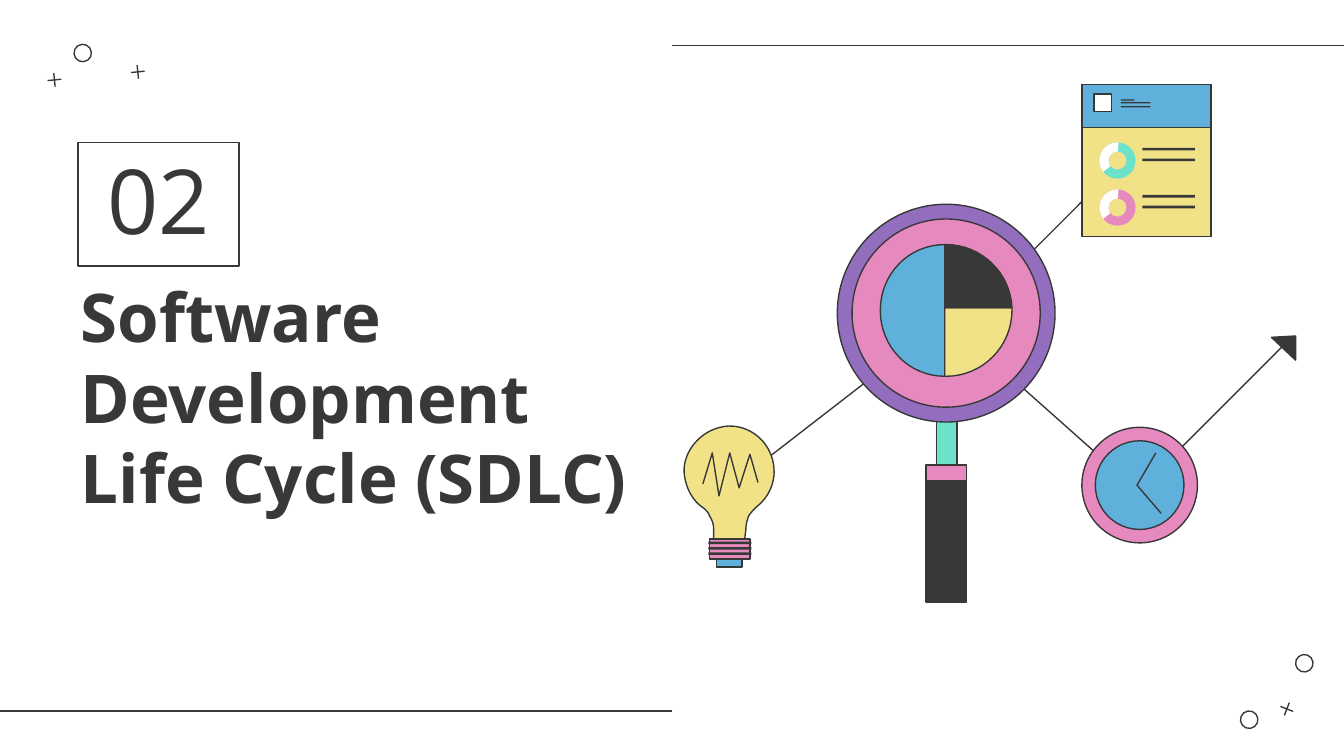
from dataclasses import dataclass
from lxml import etree
from pptx import Presentation
from pptx import util as u
from pptx.dml.color import RGBColor
from pptx.enum import shapes, text
from pptx.oxml.ns import qn


@dataclass(frozen=True)
class Theme:
    ink: str = "383838"
    white: str = "FFFFFF"
    blue: str = "5FB0DA"
    yellow: str = "F1E287"
    pink: str = "E589BF"
    purple: str = "946EBE"
    mint: str = "6CE2CB"
    font: str = "Open Sans"
    title_size: int = 36
    number_size: int = 48
    line_width: float = 0.75


THEME = Theme()
KIND = shapes.MSO_SHAPE


def paint(shape, fill=None, line=THEME.ink):
    shape.shadow.inherit = False
    if fill:
        shape.fill.solid()
        shape.fill.fore_color.rgb = RGBColor.from_string(fill)
    else:
        shape.fill.background()
    if line:
        shape.line.color.rgb = RGBColor.from_string(line)
        shape.line.width = u.Pt(THEME.line_width)
    else:
        shape.line.fill.background()


def add_preset(slide, kind, left, top, width, height, fill=None, line=THEME.ink,
               rotation=0, adjustments=()):
    shape = slide.shapes.add_shape(kind, *map(u.Inches, (left, top, width, height)))
    paint(shape, fill, line)
    shape.rotation = rotation
    for index, value in enumerate(adjustments):
        shape.adjustments[index] = value


def add_circle(slide, x, y, radius, fill):
    add_preset(slide, KIND.OVAL, x - radius, y - radius, 2 * radius, 2 * radius, fill)


def add_bar(slide, left, top, width, height):
    add_preset(slide, KIND.RECTANGLE, left, top, width, height, THEME.ink, None)


def add_line(slide, x1, y1, x2, y2):
    line = slide.shapes.add_connector(
        shapes.MSO_CONNECTOR.STRAIGHT, *map(u.Inches, (x1, y1, x2, y2)))
    line.line.color.rgb = RGBColor.from_string(THEME.ink)
    line.line.width = u.Pt(THEME.line_width)
    properties = line._element.find(qn("p:spPr"))
    etree.SubElement(properties, qn("a:effectLst"))


def bezier(start, curve, steps=16):
    x0, y0 = start
    x1, y1, x2, y2, x3, y3 = curve
    for step in range(1, steps + 1):
        t = step / steps
        weights = ((1 - t) ** 3, 3 * t * (1 - t) ** 2, 3 * t * t * (1 - t), t ** 3)
        yield tuple(sum(w * v for w, v in zip(weights, values))
                    for values in ((x0, x1, x2, x3), (y0, y1, y2, y3)))


def add_outline(slide, segments, fill=None, close=True):
    points = [segments[0]]
    for segment in segments[1:]:
        points.extend([segment] if len(segment) == 2 else bezier(points[-1], segment))
    start, *others = [(u.Inches(x), u.Inches(y)) for x, y in points]
    builder = slide.shapes.build_freeform(*start)
    builder.add_line_segments(others, close=close)
    paint(builder.convert_to_shape(), fill)


def write_text(shape, words, size, bold=False, align=text.PP_ALIGN.LEFT):
    frame = shape.text_frame
    frame.word_wrap = True
    frame.auto_size = text.MSO_AUTO_SIZE.NONE
    frame.vertical_anchor = text.MSO_ANCHOR.BOTTOM
    frame.margin_left = frame.margin_right = u.Inches(0.1)
    frame.margin_top = frame.margin_bottom = u.Inches(0.1)
    frame.text = words
    paragraph = frame.paragraphs[0]
    paragraph.alignment = align
    paragraph.line_spacing = 1.0
    paragraph.space_before = u.Pt(0)
    font = paragraph.runs[0].font
    font.name, font.size, font.bold = THEME.font, u.Pt(size), bold
    font.color.rgb = RGBColor.from_string(THEME.ink)


def place(shape, left, top, width, height):
    shape.left, shape.top = u.Inches(left), u.Inches(top)
    shape.width, shape.height = u.Inches(width), u.Inches(height)


def add_headings(slide):
    title, number = slide.placeholders
    place(title, 0.5, 1.98, 4.31, 1.97)
    write_text(title, "Software Development Life Cycle (SDLC)", THEME.title_size, bold=True)
    place(number, 0.58, 1.06, 1.2, 0.92)
    write_text(number, "02", THEME.number_size, align=text.PP_ALIGN.CENTER)
    number.line.color.rgb = RGBColor.from_string(THEME.ink)
    number.line.width = u.Pt(THEME.line_width)


def add_decorations(slide):
    add_line(slide, 10, 0.34, 5, 0.34)
    add_line(slide, 5, 5.29, 0, 5.29)
    for left, top, rotation in ((0.55, 0.33, 84.5), (9.23, 5.29, 291.4), (9.64, 4.87, 291.4)):
        add_preset(slide, KIND.OVAL, left, top, 0.13, 0.13, rotation=rotation)
    for left, top, rotation in ((0.34, 0.53, 84.5), (0.96, 0.47, 84.5), (9.51, 5.21, 291.4)):
        add_preset(slide, KIND.MATH_PLUS, left, top, 0.13, 0.13, rotation=rotation,
                   adjustments=[0])


def add_links(slide):
    add_line(slide, 7.45, 2.1, 8.22, 1.33)
    add_line(slide, 8.49, 3.63, 9.55, 2.57)
    add_outline(slide, [(5.4, 3.65), (7.04, 2.38), (8.48, 3.66)], close=False)
    add_outline(slide, [(9.64, 2.5), (9.46, 2.51), (9.64, 2.68)], THEME.ink)


def add_magnifier(slide):
    add_preset(slide, KIND.RECTANGLE, 6.97, 3.04, 0.15, 1.29, THEME.mint)
    add_preset(slide, KIND.RECTANGLE, 6.89, 3.58, 0.3, 0.9, THEME.ink)
    add_preset(slide, KIND.RECTANGLE, 6.89, 3.46, 0.3, 0.12, THEME.pink)
    add_circle(slide, 7.04, 2.33, 0.81, THEME.purple)
    add_circle(slide, 7.04, 2.33, 0.7, THEME.pink)
    add_outline(slide, [(7.03, 1.82), (6.76, 1.82, 6.55, 2.04, 6.55, 2.31),
                        (6.55, 2.58, 6.76, 2.8, 7.03, 2.8)], THEME.blue)
    add_outline(slide, [(7.03, 2.29), (7.03, 2.8), (7.04, 2.8),
                        (7.31, 2.8, 7.53, 2.58, 7.53, 2.31), (7.53, 2.29)], THEME.yellow)
    add_outline(slide, [(7.04, 1.82), (7.03, 1.82), (7.03, 2.29), (7.53, 2.29),
                        (7.52, 2.03, 7.3, 1.82, 7.04, 1.82)], THEME.ink)


def add_bulb(slide):
    add_outline(slide, [
        (5.43, 3.17), (5.42, 3.17), (5.25, 3.18, 5.1, 3.32, 5.09, 3.49),
        (5.09, 3.6, 5.14, 3.71, 5.22, 3.77), (5.25, 3.79, 5.27, 3.81, 5.28, 3.84),
        (5.3, 3.87, 5.31, 3.9, 5.31, 3.94), (5.31, 4.02), (5.54, 4.02), (5.55, 3.94),
        (5.55, 3.9, 5.56, 3.87, 5.57, 3.84), (5.59, 3.81, 5.61, 3.79, 5.63, 3.77),
        (5.71, 3.71, 5.76, 3.61, 5.76, 3.51), (5.76, 3.32, 5.61, 3.17, 5.43, 3.17),
    ], THEME.yellow)
    add_preset(slide, KIND.RECTANGLE, 5.33, 4.15, 0.19, 0.07, THEME.blue)
    add_preset(slide, KIND.RECTANGLE, 5.28, 4.01, 0.3, 0.15, THEME.pink)
    for index in range(3):
        add_bar(slide, 5.27, 4.03 + 0.04 * index, 0.32, 0.02)
    add_outline(slide, [(5.23, 3.6), (5.3, 3.37), (5.35, 3.69), (5.43, 3.37),
                        (5.5, 3.63), (5.58, 3.38), (5.64, 3.59)], close=False)


def add_clock(slide):
    add_circle(slide, 8.48, 3.61, 0.43, THEME.pink)
    add_circle(slide, 8.48, 3.61, 0.33, THEME.blue)
    add_outline(slide, [(8.6, 3.37), (8.46, 3.61), (8.64, 3.82)], close=False)


def add_report(slide):
    add_preset(slide, KIND.RECTANGLE, 8.05, 0.63, 0.96, 1.13, THEME.yellow)
    add_preset(slide, KIND.RECTANGLE, 8.05, 0.63, 0.96, 0.32, THEME.blue)
    for top, width in ((0.74, 0.1), (0.76, 0.22), (0.79, 0.22)):
        add_bar(slide, 8.34, top, width, 0.01)
    add_preset(slide, KIND.RECTANGLE, 8.14, 0.7, 0.13, 0.13, THEME.white)
    for top, color in ((1.06, THEME.mint), (1.41, THEME.pink)):
        add_preset(slide, KIND.DONUT, 8.18, top, 0.27, 0.27, color, None,
                   adjustments=[0.25])
        add_preset(slide, KIND.BLOCK_ARC, 8.18, top, 0.27, 0.27, THEME.white, None,
                   adjustments=[84.95, 164, 0.25])
        for offset in (0.04, 0.12):
            add_bar(slide, 8.5, top + offset, 0.39, 0.02)


def main():
    presentation = Presentation()
    presentation.slide_width = u.Inches(10)
    presentation.slide_height = u.Inches(10 * 9 / 16)
    slide = presentation.slides.add_slide(presentation.slide_layouts[0])
    for add_part in (add_decorations, add_headings, add_links, add_magnifier,
                     add_bulb, add_clock, add_report):
        add_part(slide)
    presentation.save("out.pptx")


if __name__ == "__main__":
    main()
